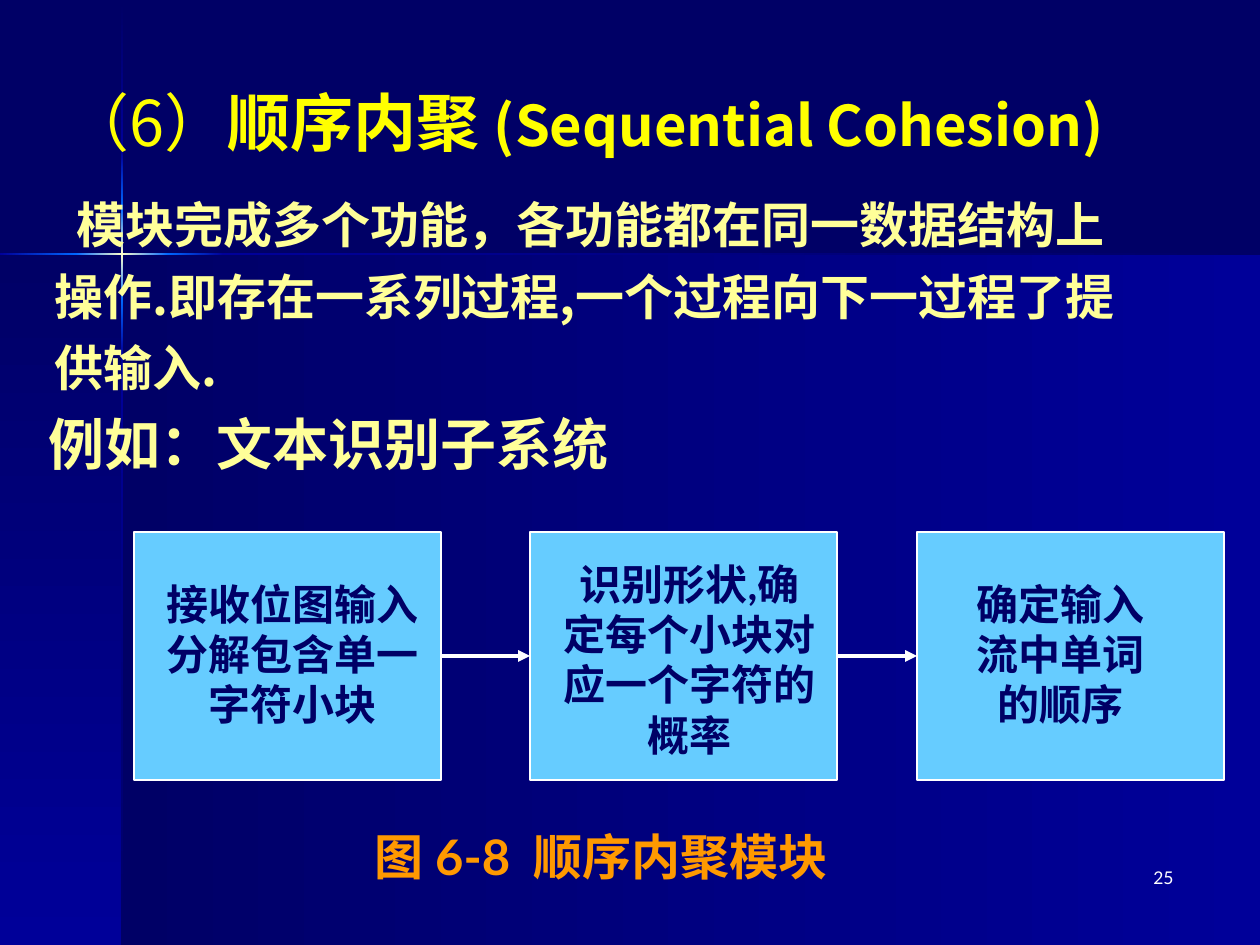
from lxml import etree
from pptx import Presentation
from pptx.dml.color import RGBColor
from pptx.enum.shapes import MSO_CONNECTOR, MSO_SHAPE
from pptx.enum.text import MSO_ANCHOR, MSO_AUTO_SIZE, PP_ALIGN
from pptx.oxml import parse_xml
from pptx.oxml.ns import nsdecls, qn
from pptx.util import Pt

PX = 914400 // 126
RECT, LINE = MSO_SHAPE.RECTANGLE, MSO_CONNECTOR.STRAIGHT
LEFT, MID, RIGHT = PP_ALIGN.LEFT, PP_ALIGN.CENTER, PP_ALIGN.RIGHT
NAVY = RGBColor(0x00, 0x00, 0x66)
BLUE = RGBColor(0x00, 0x00, 0x99)
BRIGHT = RGBColor(0x00, 0x66, 0xFF)
CREAM = RGBColor(0xFF, 0xFF, 0xCC)
YELLOW = RGBColor(0xFF, 0xFF, 0x00)
PALE = RGBColor(0xFF, 0xFF, 0x99)
ORANGE = RGBColor(0xFF, 0x99, 0x00)
SKY = RGBColor(0x66, 0xCC, 0xFF)
WHITE = RGBColor(0xFF, 0xFF, 0xFF)
SANS, HAN = "Lato", "Noto Sans CJK SC"


def write(par, words, size=24, color=NAVY, bold=True, face=SANS, align=LEFT):
    """Add a run to a paragraph, with one face for Latin and Chinese."""
    par.alignment = align
    run = par.add_run()
    run.text = words
    font = run.font
    font.size, font.bold, font.name = Pt(size), bold, face
    font.color.rgb = color
    etree.SubElement(run._r.get_or_add_rPr(), qn("a:ea")).set("typeface", face)


class Deck:
    def __init__(self):
        self.prs = Presentation()
        self.prs.slide_width, self.prs.slide_height = 1260 * PX, 945 * PX
        self.slide = self.prs.slides.add_slide(self.prs.slide_layouts[1])
        fill = self.slide.background.fill
        fill.solid()
        fill.fore_color.rgb = NAVY
        self.shapes = self.slide.shapes

    def rect(self, x, y, w, h):
        shape = self.shapes.add_shape(RECT, x * PX, y * PX, w * PX, h * PX)
        shape.shadow.inherit = False
        return shape

    def band(self, x, y, w, h, colors, angle=0):
        shape = self.rect(x, y, w, h)
        last = len(colors) - 1
        stops = "".join(
            f'<a:gs pos="{100000 * i // last}"><a:srgbClr val="{c}"/></a:gs>'
            for i, c in enumerate(colors))
        shape._element.spPr.insert(2, parse_xml(
            f'<a:gradFill {nsdecls("a")}><a:gsLst>{stops}</a:gsLst>'
            f'<a:lin ang="{angle * 60000}" scaled="0"/></a:gradFill>'))
        shape.line.fill.background()

    def box(self, x, y, w, h):
        shape = self.rect(x, y, w, h)
        shape.fill.solid()
        shape.fill.fore_color.rgb = SKY
        shape.line.color.rgb = WHITE
        shape.line.width = Pt(0.75)
        return shape

    def holder(self, index, x, y, w, h, anchor):
        shape = self.slide.placeholders[index]
        shape.left, shape.top, shape.width, shape.height = (
            n * PX for n in (x, y, w, h))
        self.shapes._spTree.append(shape._element)  # above the bands
        frame = shape.text_frame
        frame.auto_size, frame.vertical_anchor = MSO_AUTO_SIZE.NONE, anchor
        frame.word_wrap = True
        return frame

    def label(self, x, y, w, h, lines, **style):
        frame = self.shapes.add_textbox(x * PX, y * PX, w * PX, h * PX).text_frame
        frame.word_wrap = True
        for i, words in enumerate(lines):
            write(frame.add_paragraph() if i else frame.paragraphs[0],
                  words, **style)

    def arrow(self, start, end):
        link = self.shapes.add_connector(LINE, 0, 0, 0, 0)
        link.begin_connect(start, 3)
        link.end_connect(end, 1)
        link.line.color.rgb = WHITE
        link.line.width = Pt(2.25)
        etree.SubElement(link.line._get_or_add_ln(),
                         qn("a:tailEnd")).set("type", "triangle")
        etree.SubElement(link._element.spPr, qn("a:effectLst"))


def main():
    deck = Deck()

    # Backdrop: two panels and a glowing cross
    deck.band(122, 255, 1138, 690, [NAVY, BLUE])
    deck.band(0, 255, 122, 690, [NAVY, BLUE], 90)
    glow = [[NAVY, BLUE], [BLUE, BRIGHT], [BRIGHT, CREAM, BRIGHT],
            [BRIGHT, BLUE], [BLUE, NAVY]]
    cuts = [1, 152, 208, 300, 355, 945]
    for top, end, colors in zip(cuts, cuts[1:], glow):
        deck.band(121, top, 2, end - top, colors, 90)
    cuts = [0, 76, 168, 223, 1260]
    for left, end, colors in zip(cuts, cuts[1:], glow[1:]):
        deck.band(left, 253, end - left, 2, colors)

    # Title
    par = deck.holder(0, 54, 0, 1206, 243, MSO_ANCHOR.MIDDLE).paragraphs[0]
    for words, size, bold in [("（6）", 36, False), ("顺序内聚 ", 36, True),
                              ("(Sequential Cohesion)", 32, True)]:
        write(par, words, size=size, color=YELLOW, bold=bold, face=HAN)

    # Body
    frame = deck.holder(1, 0, 185, 1270, 645, MSO_ANCHOR.TOP)
    frame.margin_top = 10 * PX
    body = [("模块完成多个功能，各功能都在同一数据结构上", 28, 64, 0),
            ("操作.即存在一系列过程,一个过程向下一过程了提", 28, 42, 7),
            ("供输入.", 28, 42, 7),
            ("例如：文本识别子系统", 32, 36, 8)]
    for i, (words, size, left, before) in enumerate(body):
        par = frame.add_paragraph() if i else frame.paragraphs[0]
        props = par._p.get_or_add_pPr()
        props.set("marL", str(left * PX))
        props.set("indent", "0")
        etree.SubElement(props, qn("a:buNone"))
        par.space_before = Pt(before)
        par.line_spacing = Pt(size * 1.2)
        write(par, words, size=size, color=PALE, face=HAN)

    # Caption
    deck.label(362, 820, 794, 72, ["图 6-8  顺序内聚模块"],
               size=28, color=ORANGE)

    # Flow of three steps
    boxes = [deck.box(x, 532, 307, 248) for x in (134, 530, 917)]
    steps = [(-54, 572, 694, 164, ["接收位图输入", "分解包含单一", "字符小块"]),
             (253, 552, 873, 265, ["识别形状,确", "定每个小块对",
                                   "应一个字符的", "概率"]),
             (719, 572, 684, 164, ["确定输入", "流中单词", "的顺序"])]
    for step in steps:
        deck.label(*step, align=MID)
    for start, end in zip(boxes, boxes[1:]):
        deck.arrow(start, end)

    # Page number
    deck.label(924, 861, 262, 63, ["25"],
               size=10, color=WHITE, bold=False, align=RIGHT)
    deck.prs.save("out.pptx")


if __name__ == "__main__":
    main()
